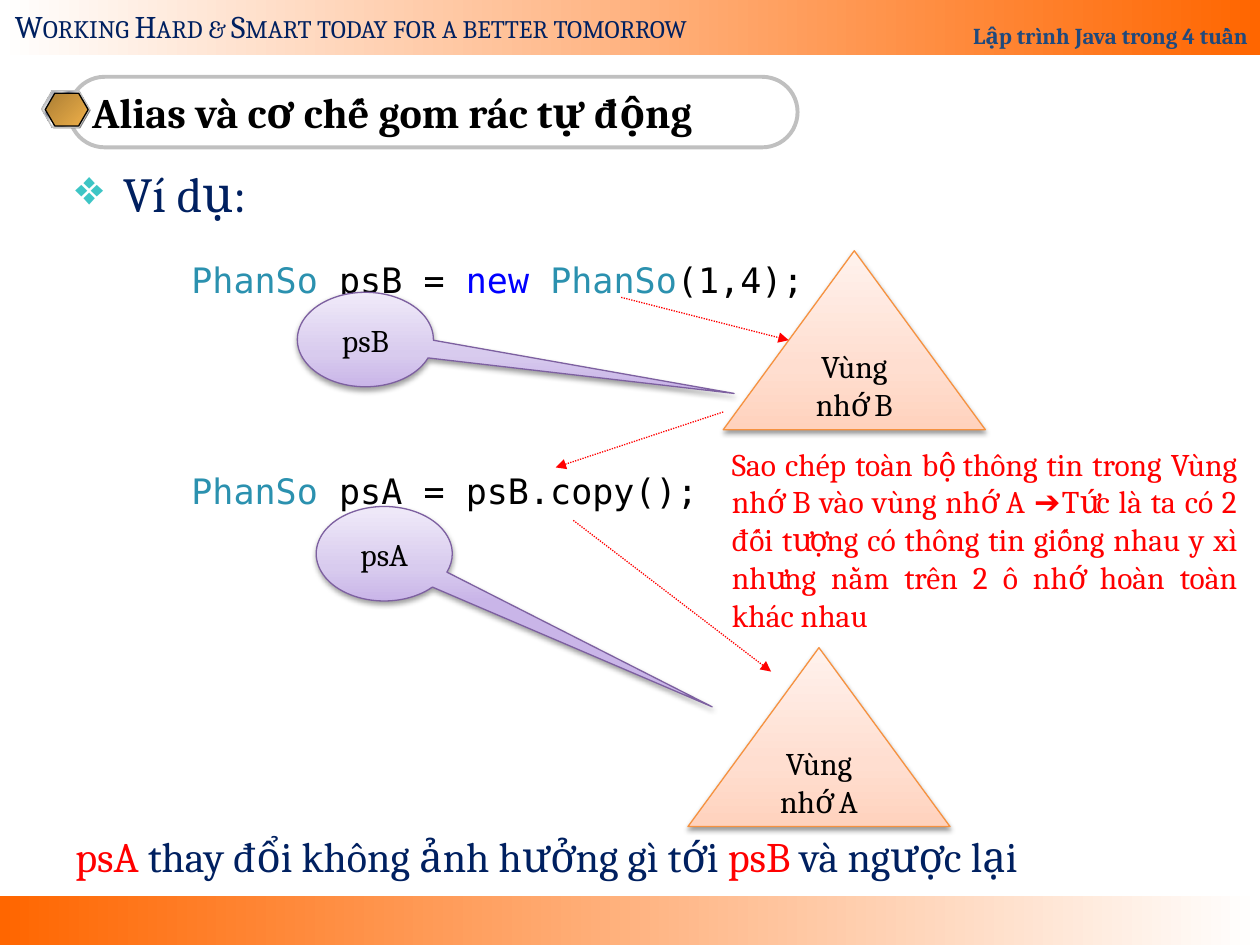
from lxml import etree
from pptx import Presentation
from pptx.dml.color import RGBColor
from pptx.enum.dml import MSO_LINE
from pptx.enum.shapes import MSO_CONNECTOR, MSO_SHAPE
from pptx.enum.text import MSO_ANCHOR, PP_ALIGN
from pptx.oxml.ns import qn
from pptx.util import Inches, Pt

RECT, ROUND, HEXAGON = MSO_SHAPE.RECTANGLE, MSO_SHAPE.ROUNDED_RECTANGLE, MSO_SHAPE.HEXAGON
TRIANGLE, CALLOUT = MSO_SHAPE.ISOSCELES_TRIANGLE, MSO_SHAPE.OVAL_CALLOUT
LEFT, CENTER, RIGHT, JUSTIFY = PP_ALIGN.LEFT, PP_ALIGN.CENTER, PP_ALIGN.RIGHT, PP_ALIGN.JUSTIFY
TOP, MIDDLE, BOTTOM = MSO_ANCHOR.TOP, MSO_ANCHOR.MIDDLE, MSO_ANCHOR.BOTTOM
STRAIGHT, DOTTED = MSO_CONNECTOR.STRAIGHT, MSO_LINE.ROUND_DOT


class Theme:
    font, mono = "Cambria", "DejaVu Sans Mono"
    footer, label, code, title, heading = 13, 18, 20, 24, 28
    black, navy, red, credit = "000000", "002060", "FF0000", "1F497D"
    type_name, keyword, bullet = "2B91AF", "0000FF", "3DC5C5"
    silver, gray, orange_line, purple_line = "C0C0C0", "808080", "F69240", "7D60A0"
    banner = [(0, "FFFFFF"), (100, "FF6600")]
    banner_flipped = [(0, "FF6600"), (100, "FFFFFF")]
    gold = [(0, "AB7E34"), (100, "EFB049")]
    steel = [(0, "E6E6E6"), (7, "7D8496"), (26, "E6E6E6"), (34, "7D8496"),
             (46, "E6E6E6"), (50, "FFFFFF"), (54, "E6E6E6"), (66, "7D8496"),
             (74, "E6E6E6"), (93, "7D8496"), (100, "E6E6E6")]
    peach = [(0, "FFD2BD"), (35, "FFDED0"), (100, "FFF2ED")]
    lilac = [(0, "C9B5E8"), (35, "D8CBEE"), (100, "F0EAF9")]


def write(tf, *runs, size=Theme.label, color=Theme.black, font=Theme.font, bold=False,
          align=LEFT, anchor=TOP, spacing=None, before=None, small_caps=False):
    tf.word_wrap = True
    tf.vertical_anchor = anchor
    p = tf.paragraphs[0] if before is None else tf.add_paragraph()
    p.alignment = align
    if spacing:
        p.line_spacing = spacing
    if before:
        p.space_before = Pt(before)
    for run in runs:
        text, run_color = (run, color) if isinstance(run, str) else run
        r = p.add_run()
        r.text = text
        r.font.name, r.font.size, r.font.bold = font, Pt(size), bold
        r.font.color.rgb = RGBColor.from_string(run_color)
        if small_caps:
            r.font._element.set("cap", "small")
    return p


def add_shape(kind, box, fill=None, angle=0, line=None, width=0.75):
    sp = s.shapes.add_shape(kind, *map(Inches, box))
    sp.shadow.inherit = False
    if fill is None:
        sp.fill.background()
    elif isinstance(fill, str):
        sp.fill.solid()
        sp.fill.fore_color.rgb = RGBColor.from_string(fill)
    else:
        sp.fill.gradient()
        sp.fill.gradient_angle = (360 - angle) % 360
        stops = sp.element.spPr.find(".//" + qn("a:gsLst"))
        stops.clear()
        for pos, color in fill:
            gs = etree.SubElement(stops, qn("a:gs"), pos=str(pos * 1000))
            etree.SubElement(gs, qn("a:srgbClr"), val=color)
    if line:
        sp.line.color.rgb = RGBColor.from_string(line)
        sp.line.width = Pt(width)
    else:
        sp.line.fill.background()
    return sp


prs = Presentation()
prs.slide_width, prs.slide_height = Inches(10), Inches(7.5)
s = prs.slides.add_slide(prs.slide_layouts[6])

add_shape(RECT, (0, 7.11, 10, 0.39), Theme.banner_flipped)
header = add_shape(RECT, (0, 0, 10, 0.44), Theme.banner)
write(header.text_frame, "Lập trình Java trong 4 tuần", size=Theme.footer,
      color=Theme.credit, bold=True, align=RIGHT, anchor=BOTTOM, spacing=1.8)

slogan = s.shapes.add_textbox(Inches(0.02), Inches(0.01), Inches(5.9), Inches(0.4))
write(slogan.text_frame, "Working Hard & Smart today for a better tomorrow",
      color=Theme.navy, small_caps=True)

title = add_shape(ROUND, (0.55, 0.61, 5.78, 0.56), line=Theme.silver, width=2.25)
title.adjustments[0] = 0.5
write(title.text_frame, "Alias và cơ chế gom rác tự động", size=Theme.title,
      bold=True, anchor=MIDDLE)

for box, fill, line in [
    ((0.34, 0.73, 0.38, 0.29), Theme.gray, None),
    ((0.33, 0.72, 0.38, 0.29), Theme.steel, Theme.silver),
    ((0.36, 0.74, 0.34, 0.26), Theme.gold, Theme.black),
]:
    badge = add_shape(HEXAGON, box, fill, 45, line)
    badge.adjustments[0] = 0.29

example = s.shapes.add_textbox(Inches(0.5), Inches(1.25), Inches(9), Inches(0.65))
p = write(example.text_frame, "Ví dụ:", size=Theme.heading, color=Theme.navy, align=JUSTIFY)
pPr = p._p.get_or_add_pPr()
pPr.set("marL", str(Inches(0.38)))
pPr.set("indent", str(-Inches(0.38)))
bullet_color = etree.SubElement(pPr, qn("a:buClr"))
etree.SubElement(bullet_color, qn("a:srgbClr"), val=Theme.bullet)
etree.SubElement(pPr, qn("a:buChar"), char="❖")

conclusion = s.shapes.add_textbox(Inches(0.5), Inches(6.54), Inches(9), Inches(0.55))
write(conclusion.text_frame, ("psA", Theme.red), " thay đổi không ảnh hưởng gì tới ",
      ("psB", Theme.red), " và ngược lại", size=Theme.title, color=Theme.navy, align=JUSTIFY)

code = s.shapes.add_textbox(Inches(1.42), Inches(2), Inches(8.08), Inches(2.12))
write(code.text_frame, ("PhanSo", Theme.type_name), " psB = ", ("new", Theme.keyword), " ",
      ("PhanSo", Theme.type_name), "(1,4);", size=Theme.code, font=Theme.mono)
write(code.text_frame, ("PhanSo", Theme.type_name), " psA = psB.copy();",
      size=Theme.code, font=Theme.mono, before=97)

for kind, text, left, top, width, height, fill, line, pointer in [
    (TRIANGLE, "Vùng nhớ A", 5.46, 5.14, 2.08, 1.42, Theme.peach, Theme.orange_line, ()),
    (TRIANGLE, "Vùng nhớ B", 5.74, 1.99, 2.08, 1.42, Theme.peach, Theme.orange_line, ()),
    (CALLOUT, "psA", 2.51, 4.02, 1.08, 0.75, Theme.lilac, Theme.purple_line, (2.41, 1.62)),
    (CALLOUT, "psB", 2.36, 2.32, 1.08, 0.75, Theme.lilac, Theme.purple_line, (2.71, 0.57)),
]:
    sp = add_shape(kind, (left, top, width, height), fill, 270, line)
    for i, value in enumerate(pointer):
        sp.adjustments[i] = value
    write(sp.text_frame, text, align=CENTER, anchor=MIDDLE)
    effects = sp.element.spPr.find(qn("a:effectLst"))
    shadow = etree.SubElement(effects, qn("a:outerShdw"), blurRad=str(Pt(3.1)),
                              dist=str(Pt(1.6)), dir="5400000", rotWithShape="0")
    shade = etree.SubElement(shadow, qn("a:srgbClr"), val=Theme.black)
    etree.SubElement(shade, qn("a:alpha"), val="38000")

note = s.shapes.add_textbox(Inches(5.71), Inches(3.48), Inches(4.21), Inches(1.62))
write(note.text_frame, "Sao chép toàn bộ thông tin trong Vùng nhớ B vào vùng nhớ A "
      "➔Tức là ta có 2 đối tượng có thông tin giống nhau y xì nhưng nằm trên "
      "2 ô nhớ hoàn toàn khác nhau", color=Theme.red, align=JUSTIFY)

for ends in [(5.74, 3.27, 4.41, 3.71), (4.55, 4.13, 6.12, 5.33), (4.93, 2.36, 6.26, 2.7)]:
    arrow = s.shapes.add_connector(STRAIGHT, *map(Inches, ends))
    arrow.line.color.rgb = RGBColor.from_string(Theme.red)
    arrow.line.width = Pt(0.75)
    arrow.line.dash_style = DOTTED
    etree.SubElement(arrow.line._get_or_add_ln(), qn("a:tailEnd"), type="triangle")
    etree.SubElement(arrow._element.spPr, qn("a:effectLst"))

prs.save("out.pptx")
